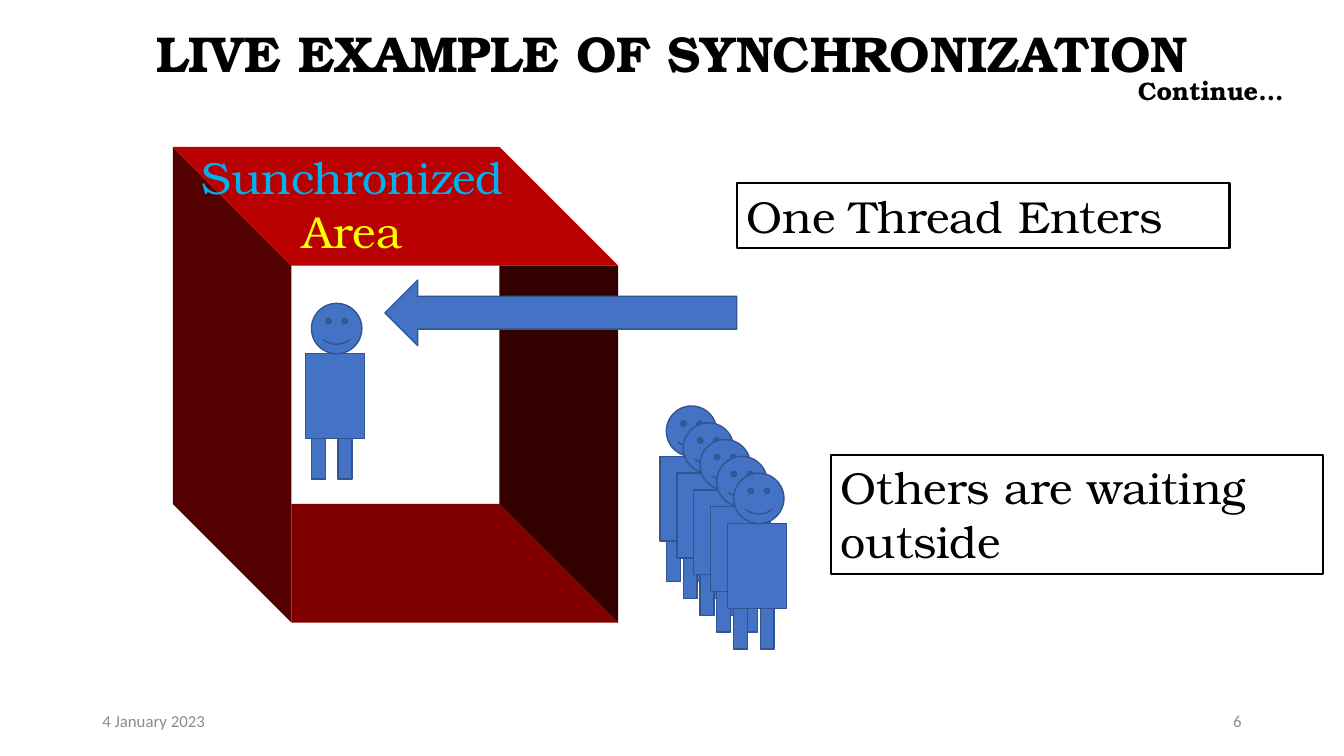
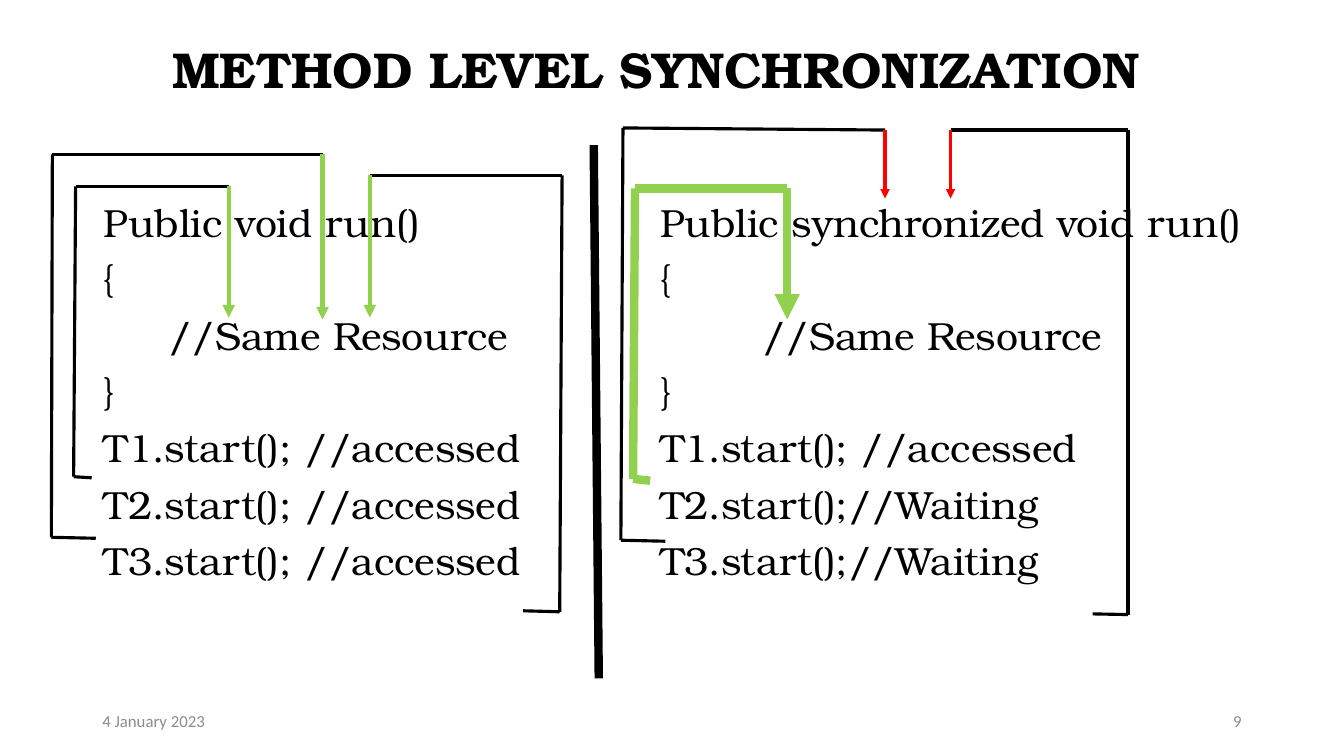
from dataclasses import dataclass

from lxml import etree
from pptx import Presentation
from pptx.dml.color import RGBColor
from pptx.enum import shapes as es, text as et
from pptx.oxml import ns
from pptx.util import Pt

# Shared look
BLACK = RGBColor(0x00, 0x00, 0x00)
GREY = RGBColor(0x8C, 0x8C, 0x8C)
BLUE = RGBColor(0x44, 0x72, 0xC4)
NAVY = RGBColor(0x32, 0x54, 0x91)
CYAN = RGBColor(0x00, 0xB0, 0xF0)
YELLOW = RGBColor(0xFF, 0xFF, 0x00)
GREEN = RGBColor(0x92, 0xD0, 0x50)
RED = RGBColor(0xFF, 0x00, 0x00)
ROOF = RGBColor(0xB9, 0x00, 0x00)
WALL = RGBColor(0x55, 0x00, 0x00)
FLOOR = RGBColor(0x80, 0x00, 0x00)
SIDE = RGBColor(0x33, 0x00, 0x00)
SERIF, SANS = "TeX Gyre Bonum", "Calibri"
LEFT, MID, RIGHT = et.PP_ALIGN.LEFT, et.PP_ALIGN.CENTER, et.PP_ALIGN.RIGHT
TOP, CENTRE = et.MSO_ANCHOR.TOP, et.MSO_ANCHOR.MIDDLE
KIND = es.MSO_SHAPE

Point = tuple[float, float]


@dataclass
class Box:
    x: float
    y: float
    w: float
    h: float

    def shift(self, dx: float, dy: float) -> "Box":
        return Box(self.x + dx, self.y + dy, self.w, self.h)

    def size(self) -> tuple:
        return Pt(self.x), Pt(self.y), Pt(self.w), Pt(self.h)


@dataclass
class Run:
    text: str
    size: float
    color: RGBColor = BLACK
    bold: bool = False
    font: str = SERIF


@dataclass
class Route:
    points: list[Point]
    tip: RGBColor
    color: RGBColor = BLACK
    width: float = 2.25
    tip_width: float = 3


# Text helpers
def add_run(para, run: Run) -> None:
    r = para.add_run()
    r.text = run.text
    r.font.name, r.font.size, r.font.bold = run.font, Pt(run.size), run.bold
    r.font.color.rgb = run.color


def set_up(frame, anchor=TOP) -> None:
    frame.word_wrap = True
    frame.auto_size = et.MSO_AUTO_SIZE.NONE
    frame.vertical_anchor = anchor


def put_text(frame, runs: list[Run], align=LEFT, anchor=TOP) -> None:
    set_up(frame, anchor)
    para = frame.paragraphs[0]
    para.alignment = align
    for run in runs:
        add_run(para, run)


def add_text(slide, box: Box, runs: list[Run], align=LEFT, anchor=TOP) -> None:
    put_text(slide.shapes.add_textbox(*box.size()).text_frame, runs, align, anchor)


def place(shape, box: Box) -> None:
    shape.left, shape.top, shape.width, shape.height = box.size()


def add_title(slide, box: Box, words: str) -> None:
    title = slide.shapes.title
    place(title, box)
    put_text(title.text_frame, [Run(words, 36, bold=True)], MID, CENTRE)
    title.text_frame.paragraphs[0].line_spacing = 0.9


def add_foot(slide, number: int) -> None:
    for x, words, align in ((66, "4 January 2023", LEFT), (678, str(number), RIGHT)):
        add_text(slide, Box(x, 500.5, 216, 28.8),
                 [Run(words, 12, GREY, font=SANS)], align, CENTRE)


def add_code(body, box: Box, lines: list[str], indent: float) -> None:
    place(body, box)
    frame = body.text_frame
    set_up(frame)
    for i, line in enumerate(lines):
        para = frame.add_paragraph() if i else frame.paragraphs[0]
        inset = indent if line.startswith("//") else 0
        props = para._p.get_or_add_pPr()
        props.set("marL", str(Pt(inset)))
        props.set("indent", "0")
        etree.SubElement(props, ns.qn("a:buNone"))
        para.alignment = LEFT
        para.line_spacing, para.space_before = 0.9, Pt(10)
        add_run(para, Run(line, 28))


# Drawing helpers
def add_shape(slide, kind, box: Box, fill=BLUE, line=NAVY, width: float = 1):
    shape = slide.shapes.add_shape(kind, *box.size())
    shape.shadow.inherit = False
    if fill is None:
        shape.fill.background()
    else:
        shape.fill.solid()
        shape.fill.fore_color.rgb = fill
    shape.line.color.rgb = line
    shape.line.width = Pt(width)
    return shape


def add_label(slide, box: Box, words: str) -> None:
    shape = add_shape(slide, KIND.RECTANGLE, box, None, BLACK, 1.5)
    put_text(shape.text_frame, [Run(words, 32)])


def add_face(slide, points: list[Point], fill: RGBColor) -> None:
    dots = [(Pt(x), Pt(y)) for x, y in points]
    pen = slide.shapes.build_freeform(*dots[0], scale=1.0)
    pen.add_line_segments(dots[1:], close=True)
    face = pen.convert_to_shape()
    face.shadow.inherit = False
    face.fill.solid()
    face.fill.fore_color.rgb = fill
    face.line.fill.background()


def add_man(slide, x: float, y: float) -> None:
    parts = (
        (KIND.RECTANGLE, Box(0, 0, 42.5, 60.5)),
        (KIND.SMILEY_FACE, Box(4.5, -36, 36, 36)),
        (KIND.RECTANGLE, Box(4.5, 60.5, 10, 29)),
        (KIND.RECTANGLE, Box(23.5, 60.5, 10, 29)),
    )
    for kind, box in parts:
        add_shape(slide, kind, box.shift(x, y))


def add_line(slide, start: Point, end: Point, color: RGBColor,
             width: float, arrow: bool = False) -> None:
    ends = [Pt(v) for v in (*start, *end)]
    line = slide.shapes.add_connector(es.MSO_CONNECTOR.STRAIGHT, *ends)
    line.line.color.rgb = color
    line.line.width = Pt(width)
    props = line._element.spPr
    if arrow:
        etree.SubElement(props.find(ns.qn("a:ln")), ns.qn("a:tailEnd"), type="triangle")
    etree.SubElement(props, ns.qn("a:effectLst"))


def add_route(slide, route: Route) -> None:
    *path, last = zip(route.points, route.points[1:])
    for start, end in path:
        add_line(slide, start, end, route.color, route.width)
    add_line(slide, *last, route.tip, route.tip_width, arrow=True)


# Slide with the guarded room
def room_slide(deck) -> None:
    slide = deck.slides.add_slide(deck.slide_layouts[5])
    add_title(slide, Box(0, 0, 960, 80), "LIVE EXAMPLE OF SYNCHRONIZATION")

    # Open box, seen from the front
    xa, xb, ya, yb, deep = 123.5, 356.8, 105, 360, 84.7
    xc, xd, yc, yd = xa + deep, xb + deep, ya + deep, yb + deep
    add_face(slide, [(xa, ya), (xc, yc), (xc, yd), (xa, yb)], WALL)
    add_face(slide, [(xa, ya), (xb, ya), (xd, yc), (xc, yc)], ROOF)
    add_face(slide, [(xb, yc), (xd, yc), (xd, yd), (xb, yb)], SIDE)
    add_face(slide, [(xc, yb), (xb, yb), (xd, yd), (xc, yd)], FLOOR)

    # Queue outside, one man inside
    for i in range(5):
        add_man(slide, 471.5 + 12 * i, 326 + 12 * i)
    add_man(slide, 218, 252.7)

    add_label(slide, Box(593.3, 324.7, 352, 85), "Others are waiting outside")
    add_shape(slide, KIND.LEFT_ARROW, Box(275, 200, 251.3, 46.8))
    add_label(slide, Box(526.3, 131, 352, 46), "One Thread Enters")
    add_text(slide, Box(123.8, 103.7, 256.3, 85),
             [Run("Sunchronized ", 32, CYAN), Run("Area", 32, YELLOW)], MID)
    add_text(slide, Box(805.7, 50.4, 143.3, 28.8), [Run("Continue…", 18, bold=True)])
    add_foot(slide, 6)


# Slide with the two code samples
def code_slide(deck) -> None:
    slide = deck.slides.add_slide(deck.slide_layouts[3])
    add_title(slide, Box(54.7, -0.7, 828, 104.4), "METHOD LEVEL SYNCHRONIZATION")
    block = ["{", "//Same Resource", "}", "T1.start(); //accessed"]
    plain = ["Public void run()", *block,
             "T2.start(); //accessed", "T3.start(); //accessed"]
    locked = ["Public synchronized void run()", *block,
              "T2.start();//Waiting", "T3.start();//Waiting"]
    add_code(slide.placeholders[1], Box(67, 141.8, 384, 342.7), plain, 46)
    add_code(slide.placeholders[2], Box(464.4, 141.8, 490, 342.7), locked, 73)

    # Call paths from each start() to the method
    routes = [
        Route([(65.5, 341.3), (52.6, 340.5), (54, 133.2), (163.4, 133.2),
               (163.4, 226.8)], GREEN),
        Route([(68.4, 384.5), (36.7, 383.8), (37.4, 110.2), (230.4, 110.2),
               (230.4, 228.2)], GREEN),
        Route([(373.7, 436.3), (399.8, 437), (401.5, 125.3), (264.2, 125.3),
               (264.2, 226.8)], GREEN),
        Route([(464.4, 343.4), (452.2, 342), (453.6, 134.6), (562.3, 134.6),
               (562.3, 228.2)], GREEN, GREEN, 6, 6),
        Route([(475.2, 386.6), (443.5, 385.9), (445, 91.4), (632.2, 92.9),
               (632.2, 141.8)], RED, tip_width=2.25),
        Route([(780.5, 438.5), (805.7, 439), (805.7, 92.9), (679, 92.9),
               (679, 141.8)], RED, tip_width=2.25),
    ]
    for route in routes:
        add_route(slide, route)
    add_line(slide, (424.1, 103.7), (427.7, 484.6), BLACK, 6)
    add_foot(slide, 9)


def main() -> None:
    deck = Presentation()
    deck.slide_width, deck.slide_height = Pt(960), Pt(540)
    room_slide(deck)
    code_slide(deck)
    deck.save("out.pptx")


if __name__ == "__main__":
    main()
